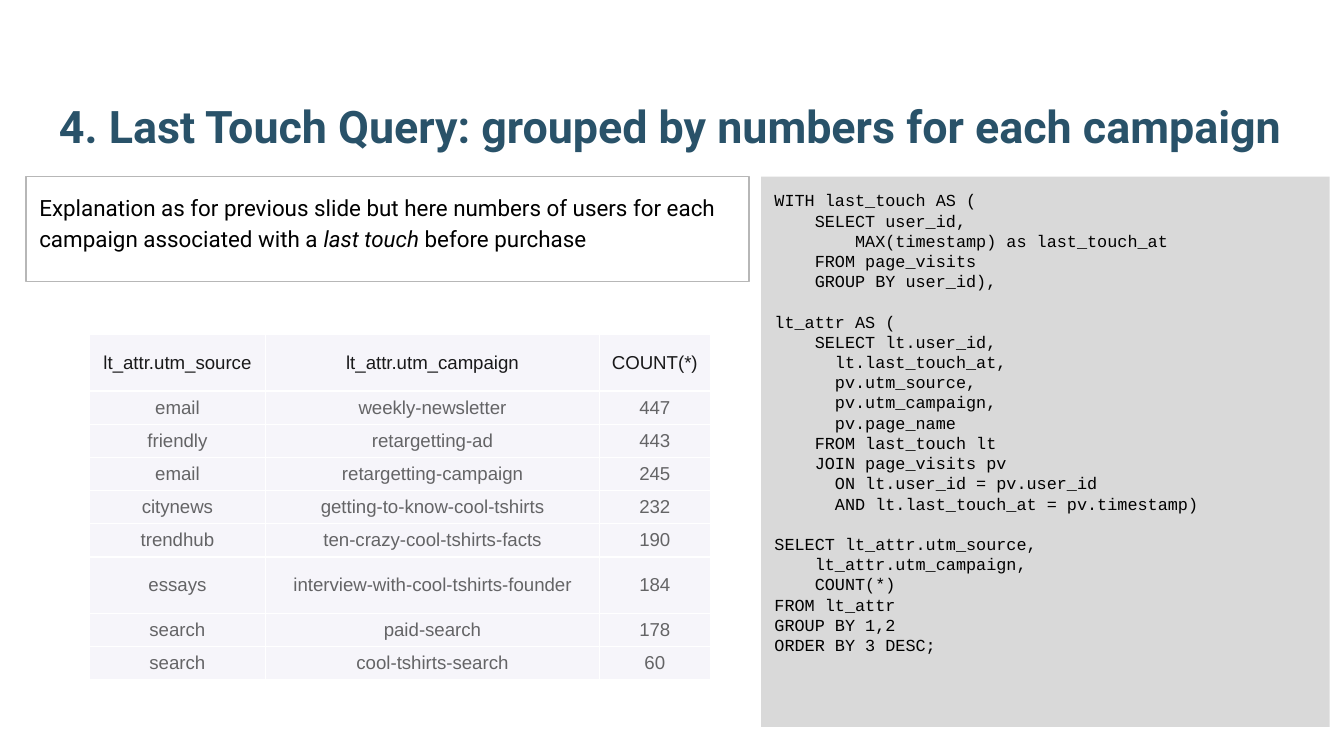
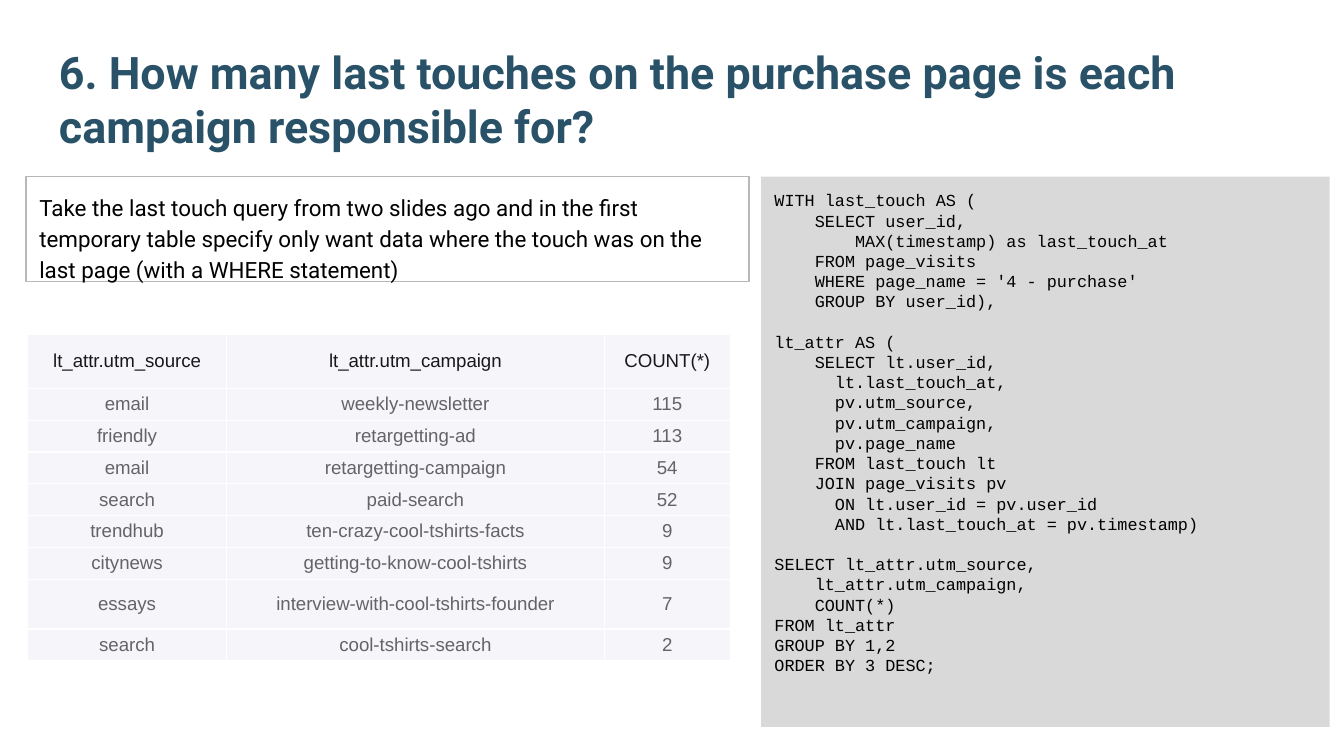
"""Build two slides on last-touch attribution queries."""
from lxml import etree
from pptx import Presentation
from pptx import util as u
from pptx.dml.color import RGBColor
from pptx.enum import shapes, text
from pptx.oxml.ns import qn

COLORS = {
    "title": "295269", "code": "000000", "code_panel": "D9D9D9", "note": "000000",
    "note_line": "B7B7B7", "header": "19191A", "body": "646466",
    "cell": "F6F5FA", "border": "FFFFFF",
}
FONTS = {"main": "Roboto", "code": "Courier New", "table": "Arial"}
COLUMNS = 100
CODE_LINE = 10.8

QUERY = """WITH last_touch AS (
    SELECT user_id,
        MAX(timestamp) as last_touch_at
    FROM page_visits
{condition}    GROUP BY user_id),

lt_attr AS (
    SELECT lt.user_id,
      lt.last_touch_at,
      pv.utm_source,
      pv.utm_campaign,
      pv.page_name
    FROM last_touch lt
    JOIN page_visits pv
      ON lt.user_id = pv.user_id
      AND lt.last_touch_at = pv.timestamp)

SELECT lt_attr.utm_source,
    lt_attr.utm_campaign,
    COUNT(*)
FROM lt_attr
GROUP BY 1,2
ORDER BY 3 DESC;"""

HEADER = ("lt_attr.utm_source", "lt_attr.utm_campaign", "COUNT(*)")
SOURCES = {
    "weekly-newsletter": "email",
    "retargetting-ad": "friendly",
    "retargetting-campaign": "email",
    "getting-to-know-cool-tshirts": "citynews",
    "ten-crazy-cool-tshirts-facts": "trendhub",
    "interview-with-cool-tshirts-founder": "essays",
    "paid-search": "search",
    "cool-tshirts-search": "search",
}

SLIDES = [
    {
        "title": "4. Last Touch Query: grouped by numbers for each campaign",
        "note": "Explanation as for previous slide but here numbers of users for each "
                "campaign associated with a last touch before purchase",
        "italic": "last touch ",
        "condition": "",
        "counts": {
            "weekly-newsletter": 447, "retargetting-ad": 443,
            "retargetting-campaign": 245, "getting-to-know-cool-tshirts": 232,
            "ten-crazy-cool-tshirts-facts": 190,
            "interview-with-cool-tshirts-founder": 184,
            "paid-search": 178, "cool-tshirts-search": 60,
        },
        "table": {"left": 6.65, "widths": (13.1, 24.85, 8.25), "inset": 0.4,
                  "row": 2.45, "tall": {0: 4.2, 6: 4.2}},
    },
    {
        "title": "6. How many last touches on the purchase page is each campaign "
                 "responsible for?",
        "note": "Take the last touch query from two slides ago and in the first temporary "
                "table specify only want data where the touch was on the last page "
                "(with a WHERE statement)",
        "italic": "",
        "condition": "    WHERE page_name = '4 - purchase'\n",
        "counts": {
            "weekly-newsletter": 115, "retargetting-ad": 113,
            "retargetting-campaign": 54, "paid-search": 52,
            "ten-crazy-cool-tshirts-facts": 9, "getting-to-know-cool-tshirts": 9,
            "interview-with-cool-tshirts-founder": 7, "cool-tshirts-search": 2,
        },
        "table": {"left": 2.05, "widths": (14.8, 28.1, 9.4), "inset": 0.3,
                  "row": 2.37, "tall": {0: 4, 7: 3.7}},
    },
]


def write(paragraph, content, *, font, size, color, bold=False, italic="",
          align=text.PP_ALIGN.LEFT, spacing=1.0, before=0):
    """Fill a paragraph, setting the given phrase in italics."""
    paragraph.alignment = align
    paragraph.line_spacing = spacing
    if before:
        paragraph.space_before = u.Pt(before)
    pieces = content.partition(italic) if italic else (content,)
    for piece in pieces:
        run = paragraph.add_run()
        run.text = piece
        run.font.name = font
        run.font.size = u.Pt(size)
        run.font.bold = bold
        run.font.italic = bool(italic) and piece == italic
        run.font.color.rgb = RGBColor.from_string(COLORS[color])


class Deck:
    """Holds the shared style, the presentation and the current slide."""

    def __init__(self):
        """Start an empty widescreen presentation."""
        self.presentation = Presentation()
        self.presentation.slide_width = u.Inches(10)
        self.presentation.slide_height = u.Emu(u.Inches(10) * 9 // 16)
        self.slide = None

    def grid(self, *counts):
        """Turn counts of square grid cells into lengths."""
        return [u.Emu(round(count * self.presentation.slide_width / COLUMNS))
                for count in counts]

    def add_slide(self):
        """Add a blank slide and make it current."""
        self.slide = self.presentation.slides.add_slide(self.presentation.slide_layouts[6])

    def prepare(self, frame, anchor):
        """Set wrapping, margins and anchor of a text frame."""
        frame.word_wrap = True
        frame.vertical_anchor = anchor
        (frame.margin_left, frame.margin_top,
         frame.margin_right, frame.margin_bottom) = self.grid(1, 1, 1, 1)
        return frame

    def title(self, content):
        """Add the slide title."""
        box = self.slide.shapes.add_textbox(*self.grid(3.4, 3.2, 93.2, 9.15))
        frame = self.prepare(box.text_frame, text.MSO_ANCHOR.BOTTOM)
        write(frame.paragraphs[0], content, font=FONTS["main"], size=24,
              color="title", bold=True)

    def panel(self, left, top, width, height, fill=None, line=None):
        """Add a rectangle and return its text frame."""
        shape = self.slide.shapes.add_shape(
            shapes.MSO_SHAPE.RECTANGLE, *self.grid(left, top, width, height))
        shape.shadow.inherit = False
        if fill:
            shape.fill.solid()
            shape.fill.fore_color.rgb = RGBColor.from_string(COLORS[fill])
        else:
            shape.fill.background()
        if line:
            shape.line.color.rgb = RGBColor.from_string(COLORS[line])
            shape.line.width = u.Pt(0.75)
        else:
            shape.line.fill.background()
        return self.prepare(shape.text_frame, text.MSO_ANCHOR.TOP)

    def code(self, query):
        """Add the query panel, with a line of space between statements."""
        frame = self.panel(56.64, 13.14, 42.3, 40.95, fill="code_panel")
        paragraph = frame.paragraphs[0]
        for block_index, block in enumerate(query.split("\n\n")):
            for line_index, line in enumerate(block.split("\n")):
                if block_index or line_index:
                    paragraph = frame.add_paragraph()
                starts_block = block_index > 0 and line_index == 0
                write(paragraph, line, font=FONTS["code"], size=9, color="code",
                      before=CODE_LINE if starts_block else 0)

    def note(self, content, italic):
        """Add the outlined explanation."""
        frame = self.panel(1.94, 13.14, 53.8, 7.8, line="note_line")
        write(frame.paragraphs[0], content, font=FONTS["main"], size=12,
              color="note", italic=italic, spacing=1.15)

    def cell(self, cell, content, color, inset):
        """Style and fill one table cell."""
        (cell.margin_left, cell.margin_top,
         cell.margin_right, cell.margin_bottom) = self.grid(0.7, inset, 0.7, inset)
        cell.vertical_anchor = text.MSO_ANCHOR.MIDDLE
        properties = cell._tc.get_or_add_tcPr()
        for side in ("lnL", "lnR", "lnT", "lnB"):
            border = etree.SubElement(properties, qn(f"a:{side}"), w=str(u.Pt(0.75)))
            fill = etree.SubElement(border, qn("a:solidFill"))
            etree.SubElement(fill, qn("a:srgbClr"), val=COLORS["border"])
        cell.fill.solid()
        cell.fill.fore_color.rgb = RGBColor.from_string(COLORS["cell"])
        write(cell.text_frame.paragraphs[0], content, font=FONTS["table"], size=10,
              color=color, align=text.PP_ALIGN.CENTER)

    def table(self, counts, left, widths, row, tall, inset):
        """Add the table of counts by campaign."""
        rows = [HEADER] + [(SOURCES[campaign], campaign, str(count))
                           for campaign, count in counts.items()]
        heights = [tall.get(index, row) for index in range(len(rows))]
        table = self.slide.shapes.add_table(
            len(rows), len(HEADER),
            *self.grid(left, 24.9, sum(widths), sum(heights))).table
        table.first_row = table.horz_banding = False
        for column, width in zip(table.columns, self.grid(*widths)):
            column.width = width
        for table_row, height in zip(table.rows, self.grid(*heights)):
            table_row.height = height
        for row_index, values in enumerate(rows):
            for column_index, value in enumerate(values):
                self.cell(table.cell(row_index, column_index), value,
                          "body" if row_index else "header", inset)


def main():
    """Build and save the presentation."""
    deck = Deck()
    for content in SLIDES:
        deck.add_slide()
        deck.title(content["title"])
        deck.code(QUERY.format(condition=content["condition"]))
        deck.note(content["note"], content["italic"])
        deck.table(content["counts"], **content["table"])
    deck.presentation.save("out.pptx")


if __name__ == "__main__":
    main()
